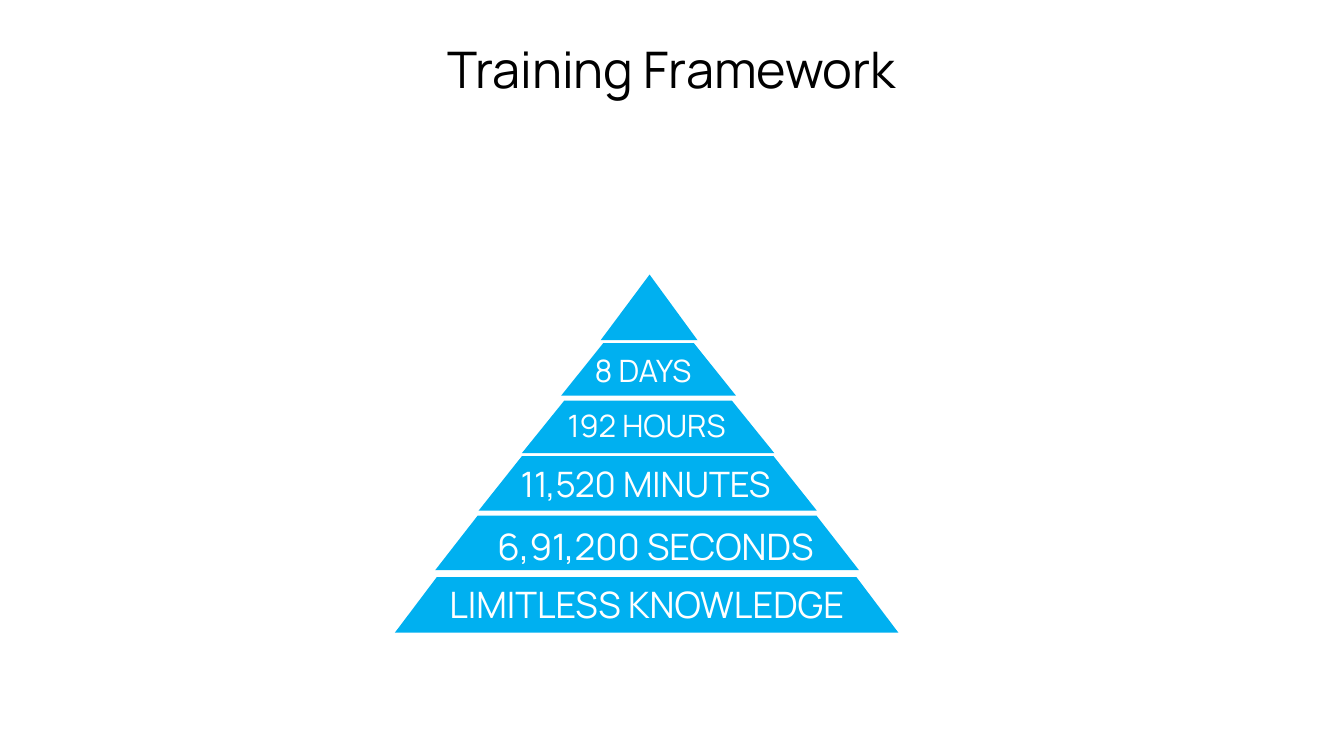
"""Build the Training Framework pyramid slide."""
from lxml.etree import SubElement
from pptx import Presentation
from pptx.dml.color import RGBColor
from pptx.enum.shapes import MSO_SHAPE
from pptx.enum.text import MSO_ANCHOR, MSO_AUTO_SIZE, PP_ALIGN
from pptx.oxml.ns import qn
from pptx.util import Pt

COLORS = {"tier": "00B0F0", "label": "FFFFFF", "title": "000000"}
FONT = "Manrope"


def write(frame, text, size, color, insets, align=PP_ALIGN.CENTER, anchor=MSO_ANCHOR.TOP):
    frame.word_wrap = True
    frame.auto_size = MSO_AUTO_SIZE.NONE
    frame.vertical_anchor = anchor
    frame.margin_left = frame.margin_right = Pt(insets[0])
    frame.margin_top = frame.margin_bottom = Pt(insets[1])
    paragraph = frame.paragraphs[0]
    paragraph.alignment = align
    run = paragraph.add_run()
    run.text = text
    run.font.name = FONT
    run.font.size = Pt(size)
    run.font.color.rgb = RGBColor.from_string(COLORS[color])
    return paragraph


presentation = Presentation()
presentation.slide_width = Pt(960)
presentation.slide_height = Pt(540)
slide = presentation.slides.add_slide(presentation.slide_layouts[5])

title = slide.shapes.title
title.left, title.top, title.width, title.height = Pt(25.2), Pt(20.2), Pt(909.4), Pt(58.3)
write(title.text_frame, "Training Framework", 36, "title", (7.2, 7.2))

tiers = [
    (MSO_SHAPE.ISOSCELES_TRIANGLE, 0.505, (431.3, 198, 64.8, 43.9)),
    (MSO_SHAPE.TRAPEZOID, 0.801, (403.2, 246.2, 120.2, 35.3)),
    (MSO_SHAPE.TRAPEZOID, 0.808, (375.1, 287.3, 175.7, 35.3)),
    (MSO_SHAPE.TRAPEZOID, 0.794, (344.2, 326.9, 236.9, 36.7)),
    (MSO_SHAPE.TRAPEZOID, 0.779, (313.2, 369.4, 298.1, 36.7)),
    (MSO_SHAPE.TRAPEZOID, 0.755, (284.4, 413.3, 355, 37.4)),
]
for outline, slant, bounds in tiers:
    tier = slide.shapes.add_shape(outline, *map(Pt, bounds))
    tier.adjustments[0] = slant
    tier.shadow.inherit = False
    tier.fill.solid()
    tier.fill.fore_color.rgb = RGBColor.from_string(COLORS["tier"])
    tier.line.color.rgb = RGBColor.from_string(COLORS["tier"])
    tier.line.width = Pt(2.25)
    SubElement(tier.element.spPr.find(qn("a:ln")), qn("a:miter"), lim="800000")

upper_labels = [
    ("8 DAYS", 22, PP_ALIGN.LEFT, (417.6, 247.7, 175.7, 33.8)),
    ("192 HOURS", 22, PP_ALIGN.CENTER, (392.4, 287.3, 139, 33.8)),
    ("11,520 MINUTES", 25, PP_ALIGN.CENTER, (361.4, 326.9, 199.4, 37.4)),
]
for text, size, align, bounds in upper_labels:
    label = slide.shapes.add_textbox(*map(Pt, bounds))
    write(label.text_frame, text, size, "label", (7.2, 3.6), align)

lower_labels = [
    ("6,91,200 SECONDS", (335.5, 370.8, 265.7, 35.3)),
    ("LIMITLESS KNOWLEDGE", (313.2, 412.6, 298.1, 33.8)),
]
for text, bounds in lower_labels:
    label = slide.shapes.add_textbox(*map(Pt, bounds))
    paragraph = write(label.text_frame, text, 26, "label", (0, 0), anchor=MSO_ANCHOR.MIDDLE)
    paragraph.line_spacing = 1.1

presentation.save("out.pptx")
